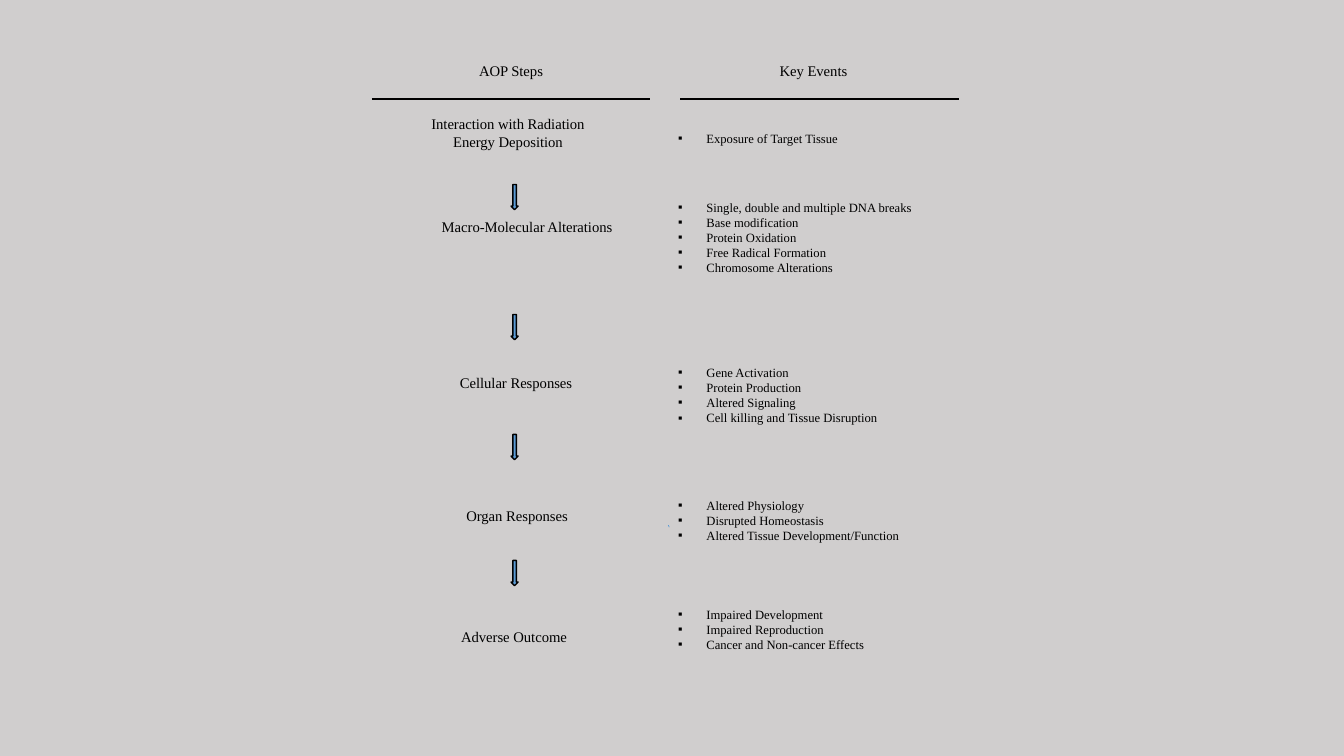
from dataclasses import dataclass

from lxml.etree import SubElement
from pptx import Presentation
from pptx.dml.color import RGBColor
from pptx.enum.shapes import MSO_CONNECTOR, MSO_SHAPE
from pptx.enum.text import MSO_ANCHOR, MSO_AUTO_SIZE, PP_ALIGN
from pptx.oxml.ns import qn
from pptx.util import Inches, Pt


@dataclass(frozen=True)
class Theme:
    background: str = "D0CECE"
    ink: str = "000000"
    accent: str = "5B9BD5"
    font: str = "Times New Roman"
    step_size: float = 10.5
    event_size: float = 9


THEME = Theme()
UNIT = Inches(0.1)
COLUMNS, ROWS = 133.33, 75

HEADINGS = [
    {"text": "AOP Steps", "placeholder": 1, "left": 37.5, "rule": 36.9},
    {"text": "Key Events", "placeholder": 3, "left": 67.5, "rule": 67.5},
]
HEADING_TOP, HEADING_WIDTH, HEADING_HEIGHT = 5.6, 26.4, 4.7
RULE_TOP, RULE_WIDTH = 9.8, 27.6

STAGES = [
    {"step": ["Interaction with Radiation", "Energy Deposition"],
     "step_center": 50.4, "step_top": 10.9, "event_top": 12.5,
     "events": ["Exposure of Target Tissue"]},
    {"step": ["Macro-Molecular Alterations"],
     "step_center": 52.3, "step_top": 21.1, "event_top": 19.3, "leading": 10.8,
     "events": ["Single, double and multiple DNA breaks", "Base modification",
                "Protein Oxidation", "Free Radical Formation",
                "Chromosome Alterations"]},
    {"step": ["Cellular Responses"],
     "step_center": 51.2, "step_top": 36.6, "event_top": 35.7,
     "events": ["Gene Activation", "Protein Production", "Altered Signaling",
                "Cell killing and Tissue Disruption"]},
    {"step": ["Organ Responses"],
     "step_center": 51.3, "step_top": 49.8, "event_top": 48.9,
     "events": ["Altered Physiology", "Disrupted Homeostasis",
                "Altered Tissue Development/Function"]},
    {"step": ["Adverse Outcome"],
     "step_center": 51, "step_top": 61.8, "event_top": 59.7,
     "events": ["Impaired Development", "Impaired Reproduction",
                "Cancer and Non-cancer Effects"]},
]
STEP_WIDTH, STEP_HEIGHT = 27, 4.7
EVENT_LEFT, EVENT_WIDTH = 66.3, 36
EVENT_LINE, EVENT_PADDING = 1.5, 1
ARROW_CENTER, ARROW_LENGTH, ARROW_THICKNESS = 51.05, 2.5, 0.7
ARROW_MIDDLES = [19.55, 32.45, 44.35, 56.85]
TICK = (66.3, 52.1, 66.4, 52.3)


def grid(*cells):
    return [round(cell * UNIT) for cell in cells]


def color(value):
    return RGBColor.from_string(value)


def write(holder, lines, *, size=THEME.step_size, align=PP_ALIGN.CENTER,
          bullet=None, leading=1.0):
    frame = holder.text_frame
    frame.word_wrap = True
    frame.auto_size = MSO_AUTO_SIZE.NONE
    frame.vertical_anchor = MSO_ANCHOR.TOP
    for index, line in enumerate(lines):
        paragraph = frame.paragraphs[0] if index == 0 else frame.add_paragraph()
        paragraph.alignment = align
        paragraph.space_before = Pt(0)
        paragraph.line_spacing = leading
        run = paragraph.add_run()
        run.text = line
        run.font.name = THEME.font
        run.font.size = Pt(size)
        run.font.bold = False
        run.font.color.rgb = color(THEME.ink)
        if bullet:
            properties = paragraph._p.get_or_add_pPr()
            properties.set("marL", str(Inches(0.28)))
            properties.set("indent", str(-Inches(0.28)))
            SubElement(properties, qn("a:buFont"), typeface=THEME.font)
            SubElement(properties, qn("a:buChar"), char=bullet)


def draw_line(slide, ends, stroke, width):
    line = slide.shapes.add_connector(MSO_CONNECTOR.STRAIGHT, *grid(*ends))
    line.line.color.rgb = color(stroke)
    line.line.width = Pt(width)
    SubElement(line._element.spPr, qn("a:effectLst"))


def draw_arrow(slide, middle):
    arrow = slide.shapes.add_shape(MSO_SHAPE.RIGHT_ARROW, *grid(
        ARROW_CENTER - ARROW_LENGTH / 2, middle - ARROW_THICKNESS / 2,
        ARROW_LENGTH, ARROW_THICKNESS))
    arrow.rotation = 90
    arrow.shadow.inherit = False
    arrow.fill.solid()
    arrow.fill.fore_color.rgb = color(THEME.accent)
    arrow.line.color.rgb = color(THEME.ink)
    arrow.line.width = Pt(1)


def add_headings(slide):
    placeholders = {item.placeholder_format.idx: item for item in slide.placeholders}
    for heading in HEADINGS:
        title = placeholders.pop(heading["placeholder"])
        title.left, title.top, title.width, title.height = grid(
            heading["left"], HEADING_TOP, HEADING_WIDTH, HEADING_HEIGHT)
        write(title, [heading["text"]])
        start = heading["rule"]
        draw_line(slide, (start, RULE_TOP, start + RULE_WIDTH, RULE_TOP), THEME.ink, 1.5)
    for unused in placeholders.values():
        unused.element.getparent().remove(unused.element)


def add_stage(slide, stage):
    step = slide.shapes.add_textbox(*grid(
        stage["step_center"] - STEP_WIDTH / 2, stage["step_top"],
        STEP_WIDTH, STEP_HEIGHT))
    write(step, stage["step"])
    height = len(stage["events"]) * EVENT_LINE + EVENT_PADDING
    events = slide.shapes.add_textbox(*grid(
        EVENT_LEFT, stage["event_top"], EVENT_WIDTH, height))
    leading = Pt(stage["leading"]) if "leading" in stage else 1.0
    write(events, stage["events"], size=THEME.event_size, align=PP_ALIGN.LEFT,
          bullet="▪", leading=leading)


def main():
    deck = Presentation()
    deck.slide_width, deck.slide_height = grid(COLUMNS, ROWS)
    slide = deck.slides.add_slide(deck.slide_layouts.get_by_name("Comparison"))
    slide.background.fill.solid()
    slide.background.fill.fore_color.rgb = color(THEME.background)
    add_headings(slide)
    for stage in STAGES:
        add_stage(slide, stage)
    for middle in ARROW_MIDDLES:
        draw_arrow(slide, middle)
    draw_line(slide, TICK, THEME.accent, 0.5)
    deck.save("out.pptx")


if __name__ == "__main__":
    main()
